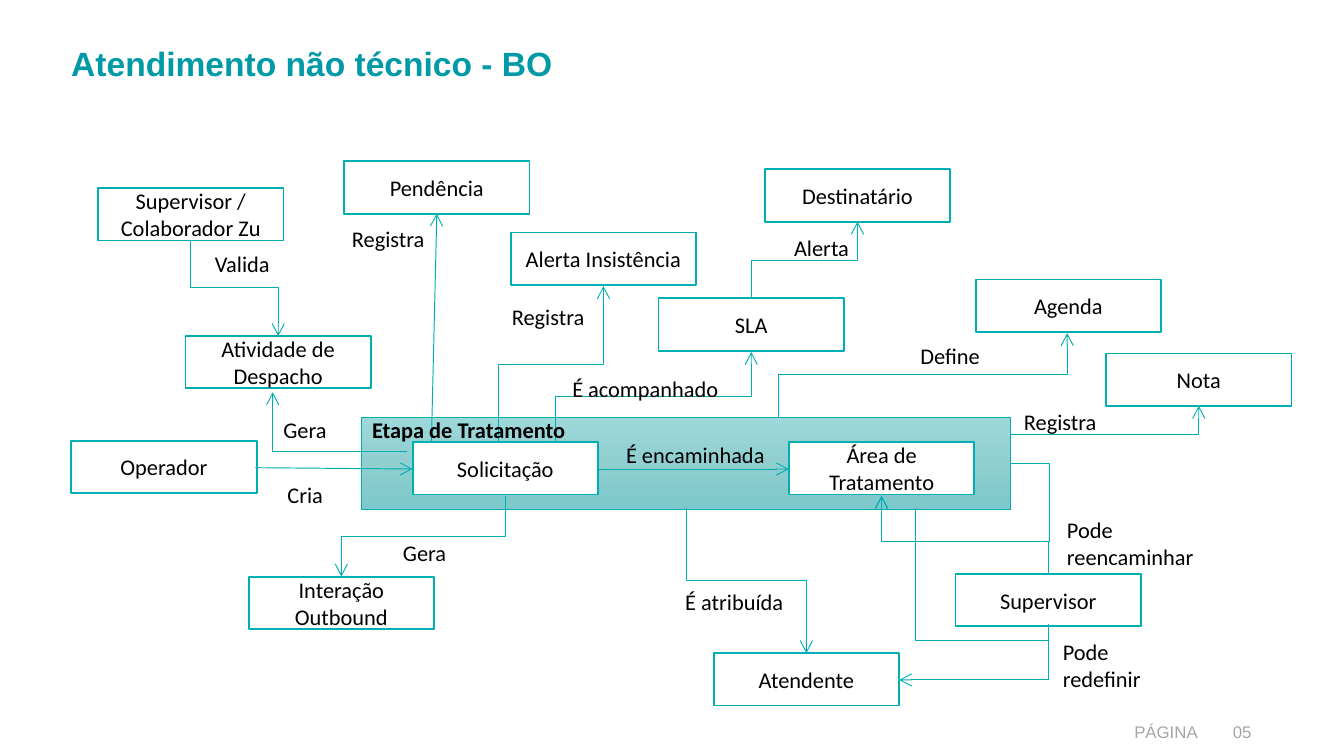
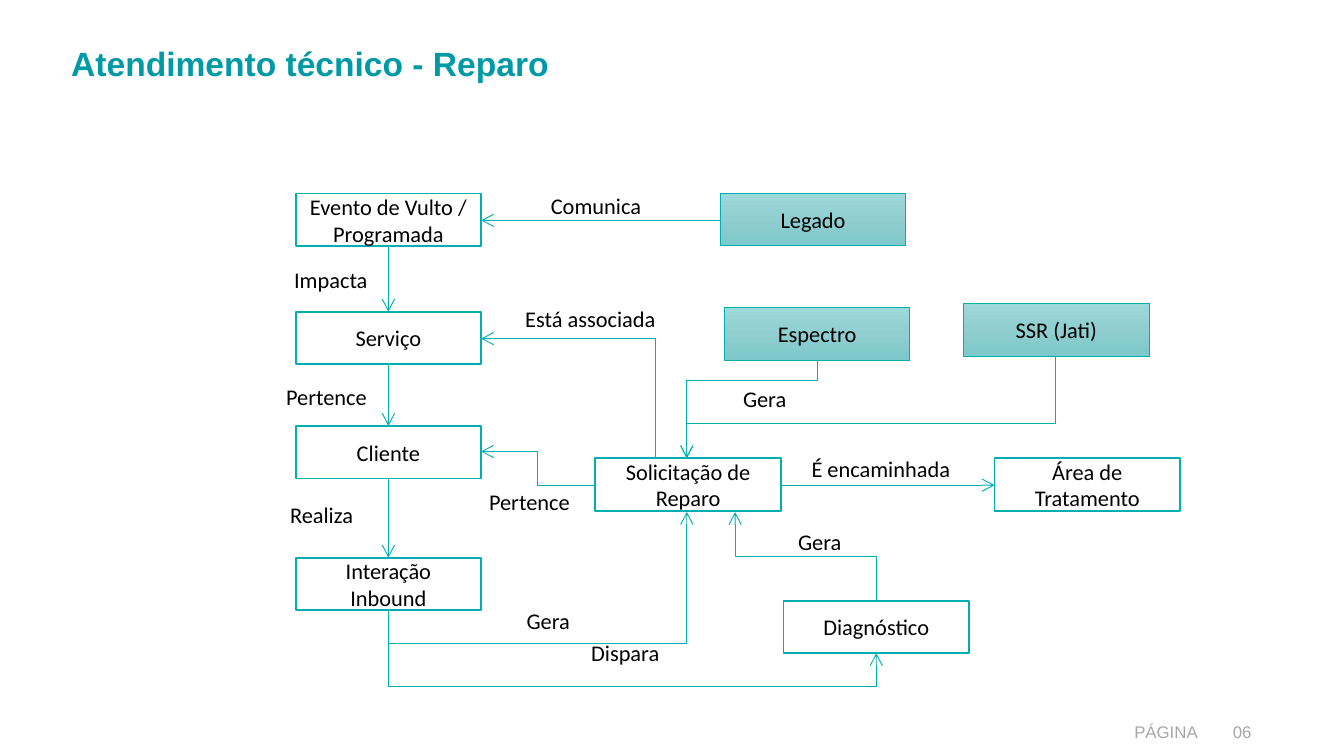
from copy import deepcopy

from lxml import etree
from pptx import Presentation
from pptx import util as u
from pptx.dml.color import RGBColor
from pptx.enum import shapes, text
from pptx.oxml.ns import qn

HUES = {"title": "009AA6", "line": "00AFB2", "ink": "000000",
        "foot": "A6A6A6", "white": "FFFFFF"}
GRAD = [(0, "9DD8DA"), (0.5, "90CED0"), (1, "7CC8CA")]
WIDE, HIGH = 1.38, 0.39
LEFT, CENTER, RIGHT = text.PP_ALIGN.LEFT, text.PP_ALIGN.CENTER, text.PP_ALIGN.RIGHT
FONTS = {
    "title": {"name": "Arial", "size": u.Pt(18), "bold": True},
    "ink": {"name": "Calibri", "size": u.Pt(12), "bold": False},
    "foot": {"name": "Arial", "size": u.Pt(9), "bold": False},
}

BO = {
    "title": "Atendimento não técnico - BO",
    "page": "05",
    "bands": [("", 2.69, 3.11, 4.83, 0.68)],
    "boxes": [
        ("Interação Outbound", 1.85, 4.29),
        ("Solicitação", 3.07, 3.29),
        ("Pendência", 2.56, 1.2),
        ("Área de Tratamento", 5.87, 3.29),
        ("Agenda", 7.26, 2.08),
        ("Nota", 8.23, 2.63),
        ("Supervisor", 7.11, 4.27),
        ("Atendente", 5.31, 4.86),
        ("Alerta Insistência", 3.8, 1.73),
        ("SLA", 4.9, 2.22),
        ("Atividade de Despacho", 1.38, 2.5),
        ("Supervisor / Colaborador Zu", 0.73, 1.4),
        ("Destinatário", 5.69, 1.26),
        ("Operador", 0.53, 3.28),
    ],
    "lines": [
        (4.45, 3.49, 5.87, 3.49),
        (3.21, 3.29, 3.25, 1.59),
        (1.9, 3.48, 3.07, 3.49),
    ],
    "bends": [
        ("v", 5.11, 3.78, 4.32, 6, 4.86),
        ("v", 7.8, 4.66, 5.06, 6.69),
        ("v", 5.79, 3.11, 2.79, 7.94, 2.48),
        ("h", 7.52, 3.23, 8.92, 3.02),
        ("v", 3.71, 3.29, 2.71, 4.49, 2.13),
        ("v", 4.13, 3.29, 2.95, 5.59, 2.62),
        ("v", 5.59, 2.22, 1.94, 6.38, 1.65),
        ("h", 3.03, 3.36, 2.03, 2.92),
        ("v", 1.42, 1.79, 2.14, 2.07, 2.5),
        ("v", 7.8, 4.27, 4.03, 6.56, 3.69),
        ("v", 3.76, 3.69, 3.99, 2.54, 4.29),
        ("h", 7.52, 3.45, 7.81, 4.03, 6.56, 3.69),
    ],
    "plain": [("v", 6.81, 3.78, 4.77, 7.8, 4.64)],
    "notes": [
        ("É encaminhada", 4.56, 3.23, 1.46),
        ("Pode reencaminhar", 7.84, 3.79, 1.41, 0.5),
        ("Pode redefinir", 7.81, 4.7, 1.13, 0.5),
        ("Registra", 2.52, 1.63, 0.89),
        ("Registra", 3.71, 2.21, 0.94),
        ("É acompanhado", 4.16, 2.74, 1.63),
        ("Gera", 2.01, 3.05, 0.89),
        ("Valida", 1.5, 1.81, 1.06),
    ],
    "tags": [
        ("Gera", 2.9, 3.96, 0.53),
        ("Cria", 2.04, 3.53, 0.47),
        ("É atribuída", 5, 4.33, 0.94),
        ("Registra", 7.52, 2.99, 0.75),
        ("Define", 6.75, 2.5, 0.65),
        ("Alerta", 5.81, 1.69, 0.62),
    ],
    "heads": [("Etapa de Tratamento", 2.67, 3.05, 1.66)],
}

REPAIR = {
    "title": "Atendimento técnico - Reparo",
    "page": "06",
    "bands": [
        ("Espectro", 5.39, 2.29),
        ("Legado", 5.36, 1.44),
        ("SSR (Jati)", 7.17, 2.26),
    ],
    "boxes": [
        ("Evento de Vulto / Programada", 2.2, 1.44),
        ("Serviço", 2.2, 2.32),
        ("Cliente", 2.2, 3.17),
        ("Interação Inbound", 2.2, 4.15),
        ("Solicitação de Reparo", 4.43, 3.41),
        ("Área de Tratamento", 7.4, 3.41),
        ("Diagnóstico", 5.83, 4.47),
    ],
    "lines": [
        (5.8, 3.61, 7.4, 3.61),
        (5.36, 1.64, 3.58, 1.64),
        (2.89, 1.83, 2.89, 2.32),
        (2.89, 2.71, 2.89, 3.17),
        (2.89, 3.56, 2.89, 4.15),
    ],
    "bends": [
        ("v", 4.88, 3.41, 2.52, 3.58),
        ("v", 6.52, 4.47, 4.14, 5.47, 3.81),
        ("v", 2.89, 4.54, 5.11, 6.52, 4.86),
        ("v", 6.08, 2.68, 2.83, 5.11, 3.41),
        ("h", 4.43, 3.61, 4, 3.36, 3.58),
        ("v", 7.85, 2.65, 3.15, 5.11, 3.41),
        ("v", 2.89, 4.54, 4.79, 5.11, 3.81),
    ],
    "plain": [],
    "notes": [
        ("É encaminhada", 5.94, 3.34, 1.46),
        ("Gera", 5.43, 2.82, 0.89),
        ("Impacta", 2.09, 1.93, 0.89),
        ("Está associada", 3.81, 2.22, 1.64),
        ("Gera", 5.84, 3.88, 1.25),
        ("Comunica", 4, 1.38, 1.12),
        ("Gera", 3.82, 4.47, 0.89),
    ],
    "tags": [
        ("Dispara", 4.3, 4.71, 0.71),
        ("Pertence", 3.54, 3.58, 0.81),
        ("Pertence", 2.03, 2.8, 0.81),
        ("Realiza", 2.06, 3.68, 0.68),
    ],
    "heads": [],
}


def put(item, form):
    for key, val in form.items():
        setattr(item, key, val)


def tint(name):
    return RGBColor.from_string(HUES.get(name, name))


def inch(*vals):
    return [u.Inches(val) for val in vals]


def write(shape, words, style, align, **more):
    frame = shape.text_frame
    frame.text = words
    para = frame.paragraphs[0]
    para.alignment = align
    put(para.font, {**FONTS[style], **more})
    para.font.color.rgb = tint(style)
    return frame


def stroke(shape, width):
    shape.line.color.rgb = tint("line")
    shape.line.width = u.Pt(width)


def blend(shape):
    shape.fill.gradient()
    shape.fill.gradient_angle = 270
    stops = shape.element.spPr.find(".//" + qn("a:gsLst"))
    stops.insert(1, deepcopy(stops[0]))
    for stop, (spot, hue) in zip(shape.fill.gradient_stops, GRAD):
        stop.position = spot
        stop.color.rgb = tint(hue)


def box(slide, words, x, y, w=WIDE, h=HIGH, band=False):
    shape = slide.shapes.add_shape(shapes.MSO_SHAPE.RECTANGLE, *inch(x, y, w, h))
    shape.shadow.inherit = False
    if band:
        blend(shape)
    else:
        shape.fill.solid()
        shape.fill.fore_color.rgb = tint("white")
    stroke(shape, 0.5 if band else 1)
    if words:
        frame = write(shape, words, "ink", CENTER)
        put(frame, {"word_wrap": True, "vertical_anchor": text.MSO_ANCHOR.MIDDLE})


def label(slide, words, x, y, w, h=0.3, wrap=True, bold=False):
    shape = slide.shapes.add_textbox(*inch(x, y, w, h))
    frame = write(shape, words, "ink", LEFT, bold=bold)
    put(frame, {"word_wrap": wrap,
                "auto_size": text.MSO_AUTO_SIZE.SHAPE_TO_FIT_TEXT})


def join(slide, kind, ends, arrow):
    link = slide.shapes.add_connector(kind, *inch(*ends))
    stroke(link, 0.5)
    props = link.element.spPr
    if arrow:
        etree.SubElement(props.find(qn("a:ln")), qn("a:tailEnd"), type="arrow")
    etree.SubElement(props, qn("a:effectLst"))
    return link


def line(slide, *ends):
    join(slide, shapes.MSO_CONNECTOR.STRAIGHT, ends, True)


def bend(slide, way, x, y, *stops, arrow=True):
    turn = way == "v"
    start = (y, x) if turn else (x, y)
    last = (stops[0::2][-1], stops[1::2][-1])
    endx, endy = last[::-1] if turn else last
    ends = (x, y, endx, endy)
    if turn:
        midx, midy = (x + endx) / 2, (y + endy) / 2
        offx, offy = y - midy, midx - x
        ends = (midx + offx, midy + offy, midx - offx, midy - offy)
    link = join(slide, shapes.MSO_CONNECTOR.ELBOW, ends, arrow)
    link.rotation = 90 if turn else 0
    geom = link.element.spPr.find(qn("a:prstGeom"))
    geom.set("prst", f"bentConnector{len(stops)}")
    marks = geom.find(qn("a:avLst"))
    if marks is None:
        marks = etree.SubElement(geom, qn("a:avLst"))
    for i in range(len(stops) - 2):
        part = (stops[i] - start[i]) / (last[i] - start[i])
        etree.SubElement(marks, qn("a:gd"), name=f"adj{i + 1}",
                         fmla=f"val {round(part * 100000)}")


def title(slide, words):
    shape = slide.shapes.title
    put(shape, dict(zip(("left", "top", "width", "height"),
                        inch(0.43, 0.3, 8.43, 0.86))))
    frame = write(shape, words, "title", LEFT)
    put(frame, {"word_wrap": True, "auto_size": text.MSO_AUTO_SIZE.NONE,
                "vertical_anchor": text.MSO_ANCHOR.TOP})
    frame.paragraphs[0].line_spacing = 0.9


def foot(slide, page):
    for words, x, w in (("PÁGINA", 0.43, 8.58), (page, 8.86, 0.55)):
        shape = slide.shapes.add_textbox(*inch(x, 5.32, w, 0.3))
        write(shape, words, "foot", RIGHT).word_wrap = True


def draw(deck, plan):
    slide = deck.slides.add_slide(deck.slide_layouts[5])
    title(slide, plan["title"])
    kinds = [
        ("bands", box, {"band": True}),
        ("boxes", box, {}),
        ("lines", line, {}),
        ("bends", bend, {}),
        ("plain", bend, {"arrow": False}),
        ("notes", label, {}),
        ("tags", label, {"wrap": False}),
        ("heads", label, {"wrap": False, "bold": True}),
    ]
    for key, make, form in kinds:
        for item in plan[key]:
            make(slide, *item, **form)
    foot(slide, plan["page"])


def main():
    deck = Presentation()
    wide = u.Inches(10)
    put(deck, {"slide_width": wide, "slide_height": wide * 9 // 16})
    for plan in (BO, REPAIR):
        draw(deck, plan)
    deck.save("out.pptx")


if __name__ == "__main__":
    main()
